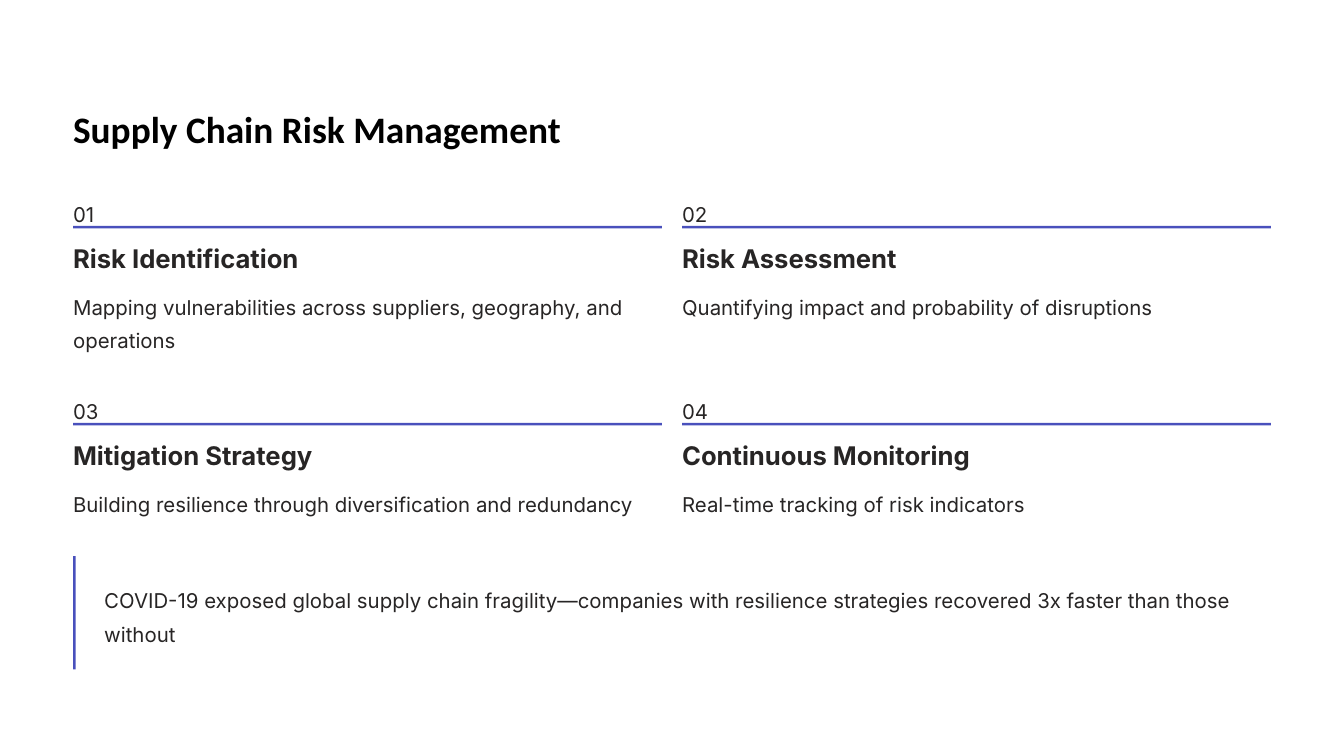
from dataclasses import dataclass

import pptx
import pptx.dml.color
import pptx.enum.shapes
import pptx.enum.text
import pptx.util

Inches = pptx.util.Inches
Pt = pptx.util.Pt


@dataclass(frozen=True)
class TextStyle:
    font: str
    size: float
    leading: float
    color: str
    bold: bool = False


@dataclass(frozen=True)
class Theme:
    accent: str = "4950BC"
    title: TextStyle = TextStyle("Calibri", 32, 55.5, "000000", True)
    heading: TextStyle = TextStyle("Inter", 22, 27.5, "272525", True)
    body: TextStyle = TextStyle("Inter", 17.5, 28.5, "272525")


THEME = Theme()

SLIDE_W, SLIDE_H = 16, 9
MARGIN = 0.87
CONTENT_W = SLIDE_W - 2 * MARGIN
GUTTER = 0.24
COLUMNS = 2
COLUMN_W = (CONTENT_W - GUTTER * (COLUMNS - 1)) / COLUMNS
GRID_TOP, ROW_PITCH = 2.3, 2.345
RULE = 0.03
QUOTE_TOP, QUOTE_H, QUOTE_INDENT, QUOTE_PAD = 6.62, 1.35, 0.37, 0.28

STEPS = [
    ("Risk Identification",
     "Mapping vulnerabilities across suppliers, geography, and operations"),
    ("Risk Assessment", "Quantifying impact and probability of disruptions"),
    ("Mitigation Strategy",
     "Building resilience through diversification and redundancy"),
    ("Continuous Monitoring", "Real-time tracking of risk indicators"),
]
TAKEAWAY = ("COVID-19 exposed global supply chain fragility—companies with "
            "resilience strategies recovered 3x faster than those without")


def rgb(value):
    return pptx.dml.color.RGBColor.from_string(value)


def write(sp, text, style):
    """Fill a shape with one left-aligned paragraph, without insets."""
    tf = sp.text_frame
    tf.margin_left = tf.margin_top = tf.margin_right = tf.margin_bottom = 0
    tf.word_wrap = True
    tf.auto_size = pptx.enum.text.MSO_AUTO_SIZE.NONE
    tf.vertical_anchor = pptx.enum.text.MSO_ANCHOR.TOP
    p = tf.paragraphs[0]
    p.alignment = pptx.enum.text.PP_ALIGN.LEFT
    p.space_before = Pt(0)
    p.line_spacing = Pt(style.leading)
    r = p.add_run()
    r.text = text
    r.font.name = style.font
    r.font.size = Pt(style.size)
    r.font.bold = style.bold
    r.font.color.rgb = rgb(style.color)


def add_title(s, text):
    sp = s.shapes.title
    sp.left, sp.top = Inches(MARGIN), Inches(1.03)
    sp.width, sp.height = Inches(CONTENT_W), Inches(0.78)
    write(sp, text, THEME.title)


def add_text(s, left, top, width, height, text, style):
    sp = s.shapes.add_textbox(*map(Inches, (left, top, width, height)))
    write(sp, text, style)


def add_bar(s, left, top, width, height):
    sp = s.shapes.add_shape(pptx.enum.shapes.MSO_SHAPE.RECTANGLE,
                            *map(Inches, (left, top, width, height)))
    sp.shadow.inherit = False
    sp.fill.solid()
    sp.fill.fore_color.rgb = rgb(THEME.accent)
    sp.line.fill.background()


def add_step(s, index, heading, detail):
    row, column = divmod(index, COLUMNS)
    left = MARGIN + column * (COLUMN_W + GUTTER)
    top = GRID_TOP + row * ROW_PITCH
    add_text(s, left, top, COLUMN_W, 0.31, f"{index + 1:02d}", THEME.body)
    add_bar(s, left, top + 0.39, COLUMN_W, RULE)
    add_text(s, left, top + 0.58, COLUMN_W, 0.39, heading, THEME.heading)
    add_text(s, left, top + 1.11, COLUMN_W, 0.79, detail, THEME.body)


def add_quote(s, text):
    add_text(s, MARGIN + QUOTE_INDENT, QUOTE_TOP + QUOTE_PAD,
             CONTENT_W - QUOTE_INDENT, QUOTE_H - 2 * QUOTE_PAD,
             text, THEME.body)
    add_bar(s, MARGIN, QUOTE_TOP, RULE, QUOTE_H)


def main():
    prs = pptx.Presentation()
    prs.slide_width, prs.slide_height = Inches(SLIDE_W), Inches(SLIDE_H)
    s = prs.slides.add_slide(prs.slide_layouts[5])
    add_title(s, "Supply Chain Risk Management")
    for index, (heading, detail) in enumerate(STEPS):
        add_step(s, index, heading, detail)
    add_quote(s, TAKEAWAY)
    prs.save("out.pptx")


if __name__ == "__main__":
    main()
